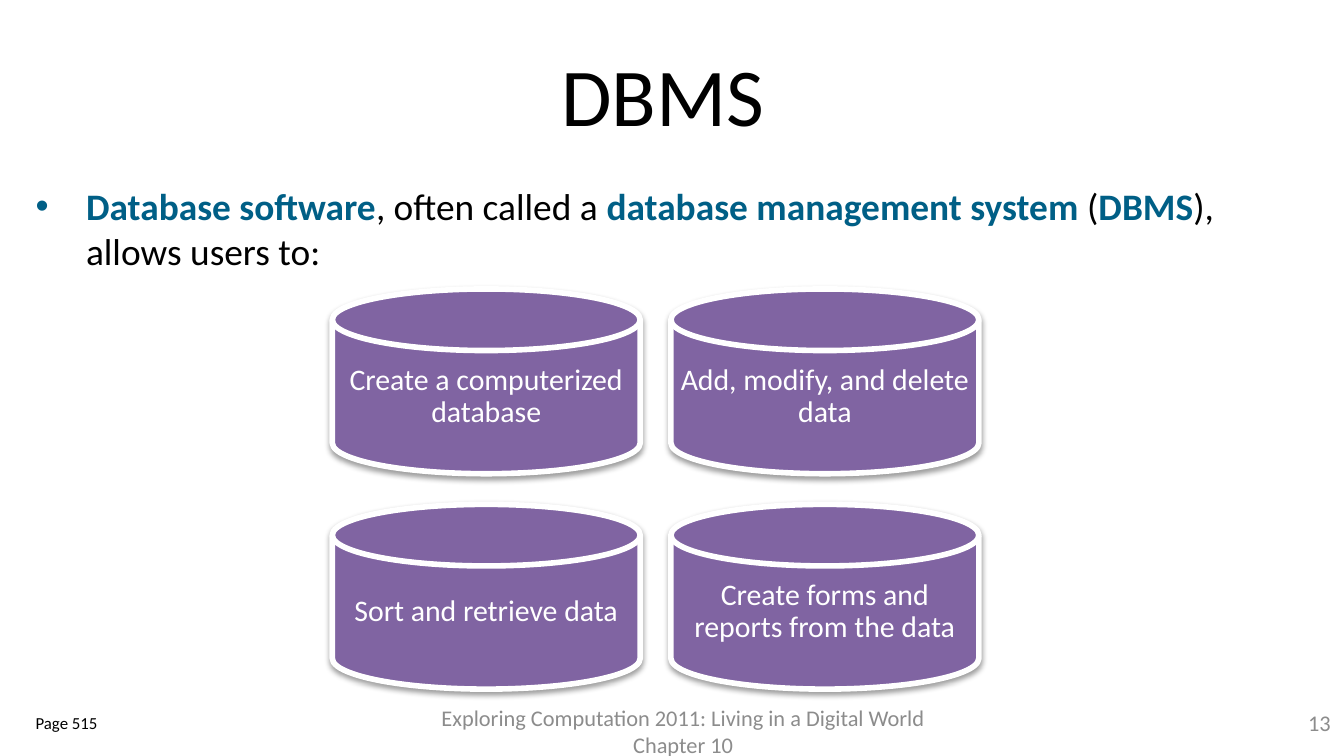
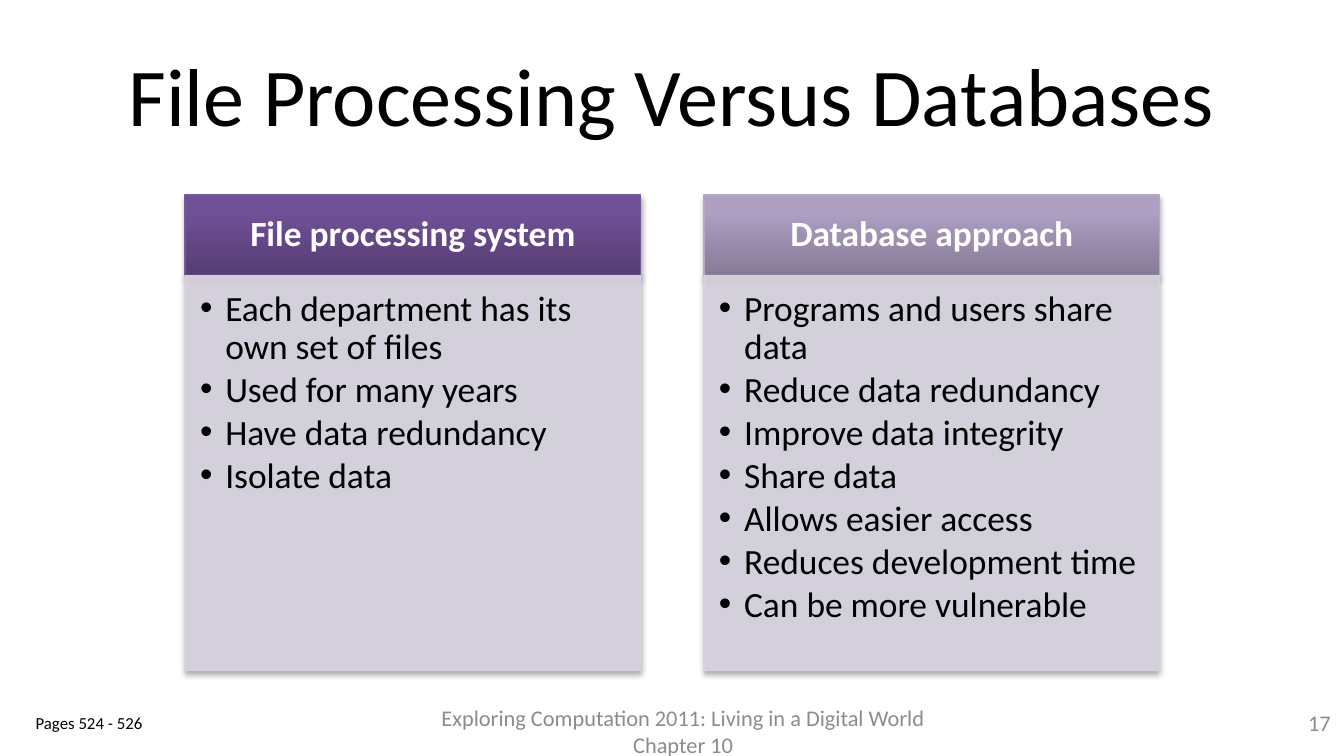
from dataclasses import dataclass
from lxml.etree import SubElement
from pptx import Presentation
from pptx.dml.color import RGBColor
from pptx.enum.shapes import MSO_SHAPE
from pptx.enum.text import MSO_ANCHOR, MSO_AUTO_SIZE, PP_ALIGN
from pptx.oxml.ns import qn
from pptx.util import Pt


@dataclass(frozen=True)
class Theme:
    font: str = "Calibri"
    black: str = "000000"
    white: str = "FFFFFF"
    gray: str = "8C8C8C"
    teal: str = "005F86"
    purple: str = "8064A2"
    pale: str = "D8D3E0"
    head: int = 44
    lead: int = 20
    item: int = 19
    disk: int = 16
    foot: int = 12
    page: int = 9


THEME = Theme()
FOOTER = "Exploring Computation 2011: Living in a Digital World Chapter 10"
MIDDLE = {"vertical_anchor": MSO_ANCHOR.MIDDLE}
CENTER = {"alignment": PP_ALIGN.CENTER}
RIGHT = {"alignment": PP_ALIGN.RIGHT}


def apply(item, values):
    for name, value in values.items():
        setattr(item, name, value)


def margins(left, top, right, bottom):
    return {"margin_left": Pt(left), "margin_top": Pt(top),
            "margin_right": Pt(right), "margin_bottom": Pt(bottom)}


class Deck:
    def __init__(self, theme):
        self.theme = theme
        self.show = Presentation()
        apply(self.show, {"slide_width": Pt(720), "slide_height": Pt(405)})
        self.slide = None

    def start(self, title, pages, number):
        theme = self.theme
        self.slide = self.show.slides.add_slide(self.show.slide_layouts[5])
        head = self.slide.shapes.title
        apply(head, {"left": Pt(36), "top": Pt(16.5),
                     "width": Pt(648), "height": Pt(67.5)})
        self.letter(head, [title], theme.head, theme.black, MIDDLE, CENTER)
        self.label((216, 378, 300, 27), [FOOTER], theme.foot, theme.gray, MIDDLE, CENTER)
        self.label((672, 369, 48, 36), [number], theme.foot, theme.gray, MIDDLE, RIGHT)
        self.label((12, 378, 132, 27), [pages], theme.page, theme.black)

    def letter(self, shape, lines, size, color, frame=None, layout=None,
               bold=False, bullet=0):
        body = shape.text_frame
        apply(body, {"word_wrap": True, "auto_size": MSO_AUTO_SIZE.NONE,
                     "vertical_anchor": MSO_ANCHOR.TOP, **(frame or {})})
        for place, line in enumerate(lines):
            para = body.add_paragraph() if place else body.paragraphs[0]
            apply(para, {"alignment": PP_ALIGN.LEFT, **(layout or {})})
            if bullet:
                props = para._p.get_or_add_pPr()
                props.set("marL", str(Pt(bullet)))
                props.set("indent", str(-Pt(bullet)))
                SubElement(props, qn("a:buFont"), typeface="Arial")
                SubElement(props, qn("a:buChar"), char="•")
            for text, tint, strong in [(line, color, bold)] if isinstance(line, str) else line:
                run = para.add_run()
                run.text = text
                apply(run.font, {"name": self.theme.font, "size": Pt(size), "bold": strong})
                run.font.color.rgb = RGBColor.from_string(tint)

    def label(self, box, lines, *style, **extra):
        shape = self.slide.shapes.add_textbox(*map(Pt, box))
        self.letter(shape, lines, *style, **extra)

    def block(self, kind, box, fill, line, width, shade, alpha=100):
        shape = self.slide.shapes.add_shape(kind, *map(Pt, box))
        props = shape._element.spPr
        if isinstance(fill, str):
            shape.fill.solid()
            shape.fill.fore_color.rgb = RGBColor.from_string(fill)
        else:
            shape.fill.gradient()
            shape.fill.gradient_angle = 90
            stops = props.find(".//" + qn("a:gsLst"))
            stops[:] = []
            for spot, tint in zip((0, 80, 100), fill):
                stop = SubElement(stops, qn("a:gs"), pos=str(spot * 1000))
                SubElement(stop, qn("a:srgbClr"), val=tint)
        shape.line.width = Pt(width)
        shape.line.color.rgb = RGBColor.from_string(line)
        if alpha < 100:
            for tint in props.iter(qn("a:srgbClr")):
                SubElement(tint, qn("a:alpha"), val=str(alpha * 1000))
        self.shadow(shape, *shade)
        return shape

    def shadow(self, shape, alpha, gap):
        shape.shadow.inherit = False
        group = shape._element.spPr.find(qn("a:effectLst"))
        outer = SubElement(group, qn("a:outerShdw"), blurRad=str(Pt(3.1)),
                           dist=str(Pt(gap)), dir="5400000", rotWithShape="0")
        tint = SubElement(outer, qn("a:srgbClr"), val=self.theme.black)
        SubElement(tint, qn("a:alpha"), val=str(alpha * 1000))

    def disk(self, left, top, text):
        theme = self.theme
        shape = self.block(MSO_SHAPE.FLOWCHART_MAGNETIC_DISK, (left, top, 165, 99),
                           theme.purple, theme.white, 3, (38, 1.6))
        self.letter(shape, [text], theme.disk, theme.white,
                    {**MIDDLE, **margins(5, 5, 5, 5)},
                    {**CENTER, "line_spacing": 0.9, "space_after": Pt(5.6)})

    def panel(self, left, title, fill, line, items):
        theme, shade = self.theme, (35, 1.8)
        top, width, band = 104.4, 244, 43.2
        head = self.block(MSO_SHAPE.RECTANGLE, (left, top, width, band),
                          fill, line, 0.75, shade)
        self.letter(head, [title], theme.item, theme.white,
                    {**MIDDLE, **margins(10.6, 6, 10.6, 6)},
                    {**CENTER, "line_spacing": 0.9, "space_after": Pt(6.65)}, bold=True)
        body = self.block(MSO_SHAPE.RECTANGLE, (left, top + band, width, 211.7),
                          theme.pale, theme.pale, 0.75, shade, alpha=90)
        self.letter(body, items, theme.item, theme.black, margins(8, 8, 10.6, 12),
                    {"line_spacing": 0.9, "space_after": Pt(2.5)}, bullet=13.5)


def main():
    deck = Deck(THEME)
    black, teal = THEME.black, THEME.teal

    deck.start("DBMS ", "Page 515", "13")
    lead = [("Database software", teal, True), (", often called a ", black, False),
            ("database management system ", teal, True), ("(", black, False),
            ("DBMS", teal, True), ("), allows users to:", black, False)]
    deck.label((12, 94.5, 696, 274.5), [lead], THEME.lead, black, bullet=27)
    tasks = ["Create a computerized database", "Add, modify, and delete data",
             "Sort and retrieve data", "Create forms and reports from the data"]
    for place, task in enumerate(tasks):
        row, col = divmod(place, 2)
        deck.disk(178 + 181.4 * col, 154.8 + 115.4 * row, task)

    deck.start("File Processing Versus Databases", "Pages 524 - 526", "17")
    panels = [
        ("File processing system", ("563D74", "705097", "704F99"), "745B93",
         ["Each department has its own set of files", "Used for many years",
          "Have data redundancy", "Isolate data"]),
        ("Database approach", ("867B96", "AE9FC3", "AE9FC4"), "B4A9C5",
         ["Programs and users share data", "Reduce data redundancy",
          "Improve data integrity", "Share data", "Allows easier access",
          "Reduces development time", "Can be more vulnerable"]),
    ]
    for place, panel in enumerate(panels):
        deck.panel(99.2 + 278 * place, *panel)

    deck.show.save("out.pptx")


if __name__ == "__main__":
    main()
